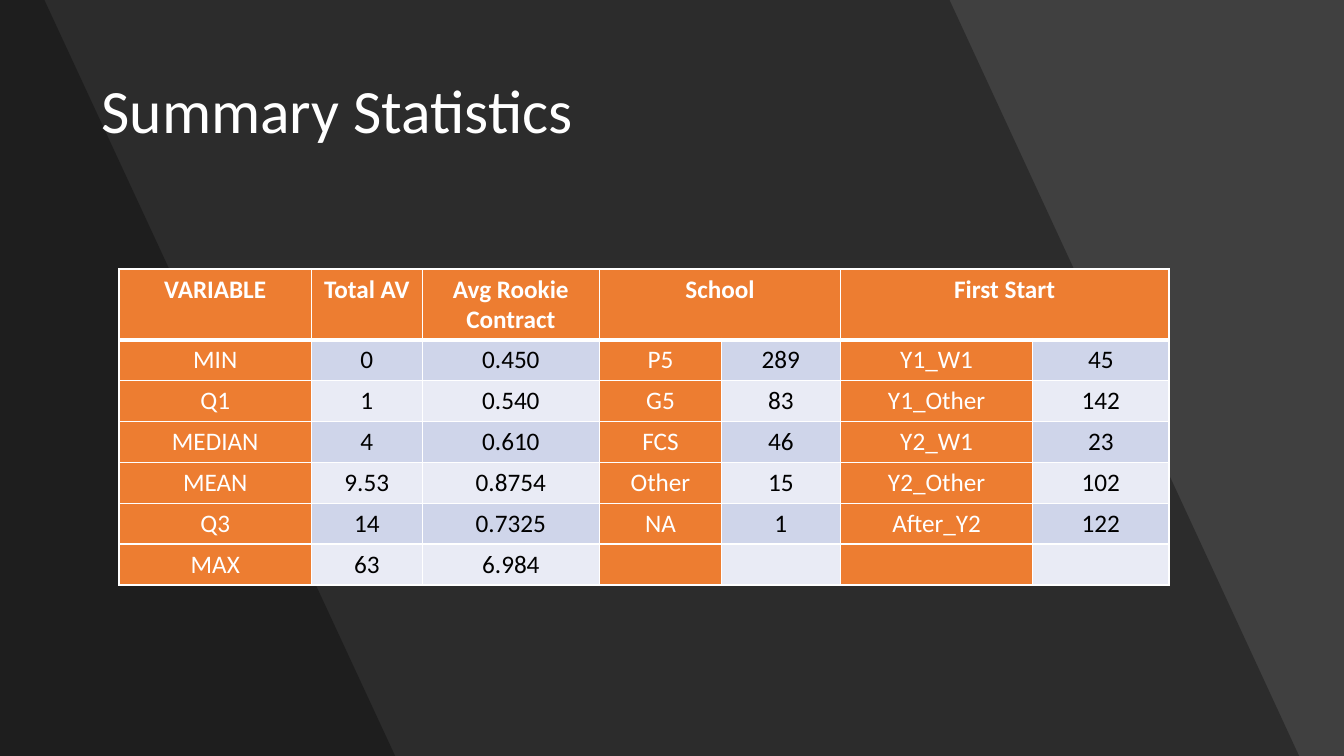
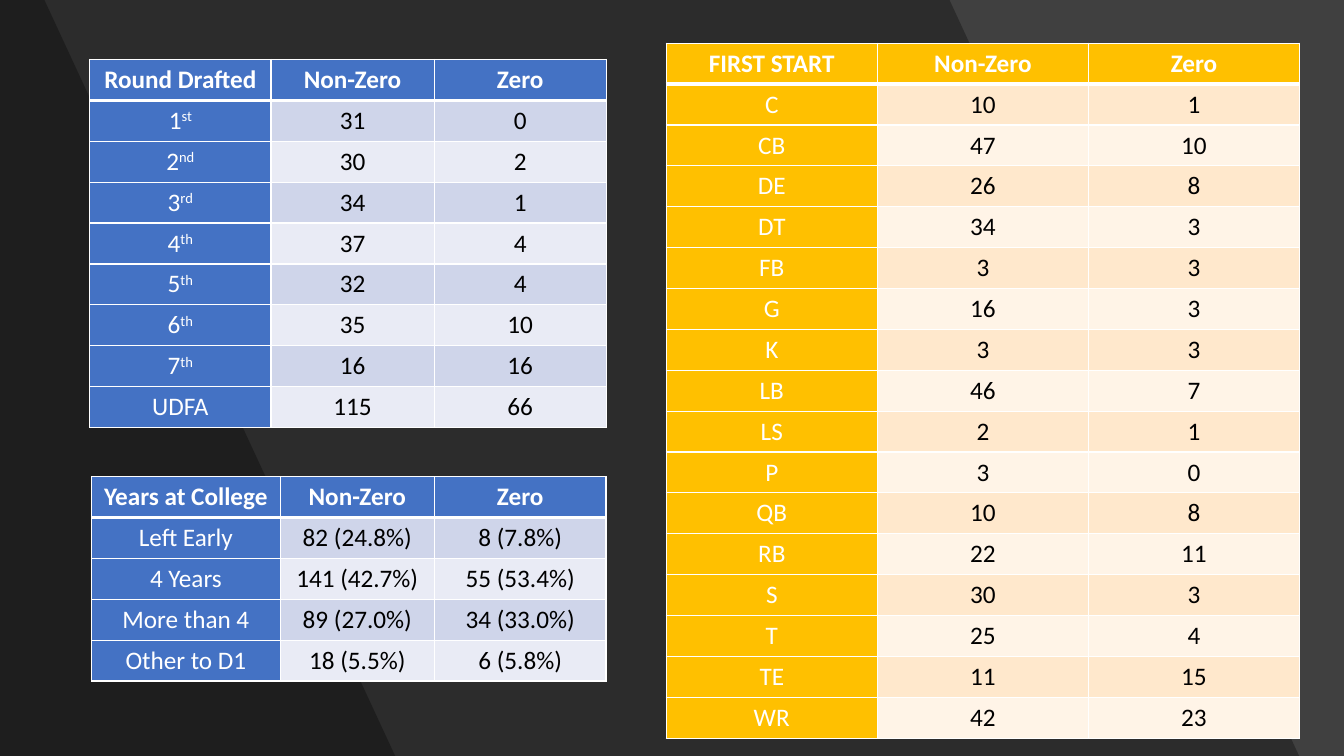
from dataclasses import dataclass

from lxml import etree
from pptx import Presentation
from pptx.dml.color import RGBColor
from pptx.enum import text as t
from pptx.oxml import ns
from pptx.slide import Slide
from pptx.text.text import _Paragraph as Paragraph
from pptx.util import Cm, Pt

WHITE = RGBColor(0xFF, 0xFF, 0xFF)
BLACK = RGBColor(0x00, 0x00, 0x00)
CHARCOAL = RGBColor(0x40, 0x40, 0x40)
ORANGE = RGBColor(0xED, 0x7D, 0x31)
BLUE = RGBColor(0x44, 0x72, 0xC4)
GOLD = RGBColor(0xFF, 0xC0, 0x00)
BLUE_TINTS = (RGBColor(0xCF, 0xD5, 0xEA), RGBColor(0xE9, 0xEB, 0xF5))
GOLD_TINTS = (RGBColor(0xFF, 0xE8, 0xCC), RGBColor(0xFF, 0xF4, 0xE7))

FONT = "Calibri"
SLIDE_WIDTH, SLIDE_HEIGHT = 33.87, 19.05
ROW_HEIGHT = 1.03
THIN, THICK = Pt(1), Pt(3)


@dataclass(frozen=True)
class Band:
    top_right: float
    bottom_right: float


@dataclass(frozen=True)
class StatTable:
    left: float
    top: float
    columns: tuple[float, ...]
    accent: RGBColor
    tints: tuple[RGBColor, RGBColor]
    header: tuple[str | None, ...]
    rows: tuple[tuple[str, ...], ...]
    key_columns: tuple[int, ...] = (0,)
    header_height: float = ROW_HEIGHT


BANDS = (Band(23.93, 32.74), Band(1.12, 9.96))

SUMMARY = StatTable(
    3.0, 6.78, (4.85, 2.79, 4.47, 3.07, 3.0, 4.85, 3.43), ORANGE, BLUE_TINTS,
    ("VARIABLE", "Total AV", "Avg Rookie Contract", "School", None, "First Start", None),
    (
        ("MIN", "0", "0.450", "P5", "289", "Y1_W1", "45"),
        ("Q1", "1", "0.540", "G5", "83", "Y1_Other", "142"),
        ("MEDIAN", "4", "0.610", "FCS", "46", "Y2_W1", "23"),
        ("MEAN", "9.53", "0.8754", "Other", "15", "Y2_Other", "102"),
        ("Q3", "14", "0.7325", "NA", "1", "After_Y2", "122"),
        ("MAX", "63", "6.984", "", "", "", ""),
    ),
    key_columns=(0, 3, 5),
    header_height=1.78,
)

ROUND_DRAFTED = StatTable(
    2.26, 1.5, (4.57, 4.11, 4.34), BLUE, BLUE_TINTS,
    ("Round Drafted", "Non-Zero", "Zero"),
    (
        ("1^st", "31", "0"),
        ("2^nd", "30", "2"),
        ("3^rd", "34", "1"),
        ("4^th", "37", "4"),
        ("5^th", "32", "4"),
        ("6^th", "35", "10"),
        ("7^th", "16", "16"),
        ("UDFA", "115", "66"),
    ),
)

YEARS_AT_COLLEGE = StatTable(
    2.31, 12.01, (4.75, 3.89, 4.32), BLUE, BLUE_TINTS,
    ("Years at College", "Non-Zero", "Zero"),
    (
        ("Left Early", "82 (24.8%)", "8 (7.8%)"),
        ("4 Years", "141 (42.7%)", "55 (53.4%)"),
        ("More than 4", "89 (27.0%)", "34 (33.0%)"),
        ("Other to D1", "18 (5.5%)", "6 (5.8%)"),
    ),
)

FIRST_START = StatTable(
    16.79, 1.09, (5.32, 5.32, 5.32), GOLD, GOLD_TINTS,
    ("FIRST START", "Non-Zero", "Zero"),
    (
        ("C", "10", "1"),
        ("CB", "47", "10"),
        ("DE", "26", "8"),
        ("DT", "34", "3"),
        ("FB", "3", "3"),
        ("G", "16", "3"),
        ("K", "3", "3"),
        ("LB", "46", "7"),
        ("LS", "2", "1"),
        ("P", "3", "0"),
        ("QB", "10", "8"),
        ("RB", "22", "11"),
        ("S", "30", "3"),
        ("T", "25", "4"),
        ("TE", "11", "15"),
        ("WR", "42", "23"),
    ),
)


def add_run(paragraph: Paragraph, words: str, size: float, color: RGBColor,
            bold: bool = False, raised: bool = False) -> None:
    run = paragraph.add_run()
    run.text = words
    run.font.name = FONT
    run.font.size = Pt(size)
    run.font.bold = bold
    run.font.color.rgb = color
    if raised:
        run._r.get_or_add_rPr().set("baseline", "30000")


def add_band(slide: Slide, band: Band) -> None:
    builder = slide.shapes.build_freeform(0, 0)
    corners = ((band.top_right, 0), (band.bottom_right, SLIDE_HEIGHT), (0, SLIDE_HEIGHT))
    builder.add_line_segments([(Cm(x), Cm(y)) for x, y in corners], close=True)
    shape = builder.convert_to_shape()
    shape.shadow.inherit = False
    shape.line.fill.background()
    shape.fill.solid()
    shape.fill.fore_color.rgb = BLACK
    color = shape.element.spPr.find(ns.qn("a:solidFill"))[0]
    etree.SubElement(color, ns.qn("a:alpha"), val="30000")


def add_base_slide(presentation: Presentation) -> Slide:
    slide = presentation.slides.add_slide(presentation.slide_layouts[6])
    slide.background.fill.solid()
    slide.background.fill.fore_color.rgb = CHARCOAL
    for band in BANDS:
        add_band(slide, band)
    return slide


def add_title(slide: Slide, words: str) -> None:
    frame = slide.shapes.add_textbox(Cm(2.31), Cm(1.01), Cm(29.24), Cm(3.68)).text_frame
    frame.word_wrap = True
    frame.vertical_anchor = t.MSO_ANCHOR.MIDDLE
    frame.paragraphs[0].line_spacing = 0.9
    add_run(frame.paragraphs[0], words, 44, WHITE)


def set_borders(properties: etree._Element, top: int, bottom: int) -> None:
    widths = {"lnL": THIN, "lnR": THIN, "lnT": top, "lnB": bottom}
    for index, (side, width) in enumerate(widths.items()):
        line = etree.Element(ns.qn(f"a:{side}"), w=str(width))
        fill = etree.SubElement(line, ns.qn("a:solidFill"))
        etree.SubElement(fill, ns.qn("a:srgbClr"), val=str(WHITE))
        properties.insert(index, line)


def add_stat_table(slide: Slide, stats: StatTable) -> None:
    heights = [stats.header_height] + [ROW_HEIGHT] * len(stats.rows)
    table = slide.shapes.add_table(
        len(heights), len(stats.columns), Cm(stats.left), Cm(stats.top),
        Cm(sum(stats.columns)), Cm(sum(heights)),
    ).table
    for column, width in zip(table.columns, stats.columns):
        column.width = Cm(width)
    for row, height in zip(table.rows, heights):
        row.height = Cm(height)
    for row_index, values in enumerate((stats.header, *stats.rows)):
        is_header = row_index == 0
        for column_index, value in enumerate(values):
            cell = table.cell(row_index, column_index)
            is_accent = is_header or column_index in stats.key_columns
            cell.fill.solid()
            cell.fill.fore_color.rgb = (
                stats.accent if is_accent else stats.tints[(row_index - 1) % 2])
            set_borders(cell._tc.get_or_add_tcPr(),
                        THICK if row_index == 1 else THIN,
                        THICK if is_header else THIN)
            if value is None:
                table.cell(row_index, column_index - 1).merge(cell)
                continue
            paragraph = cell.text_frame.paragraphs[0]
            paragraph.alignment = t.PP_ALIGN.CENTER
            base, _, suffix = value.partition("^")
            color = WHITE if is_accent else BLACK
            if base:
                add_run(paragraph, base, 18, color, bold=is_header)
            if suffix:
                add_run(paragraph, suffix, 18, color, raised=True)


def main() -> None:
    presentation = Presentation()
    presentation.slide_width = Cm(SLIDE_WIDTH)
    presentation.slide_height = Cm(SLIDE_HEIGHT)

    summary_slide = add_base_slide(presentation)
    add_title(summary_slide, "Summary Statistics")
    add_stat_table(summary_slide, SUMMARY)

    counts_slide = add_base_slide(presentation)
    for stats in (ROUND_DRAFTED, YEARS_AT_COLLEGE, FIRST_START):
        add_stat_table(counts_slide, stats)

    presentation.save("out.pptx")


main()
